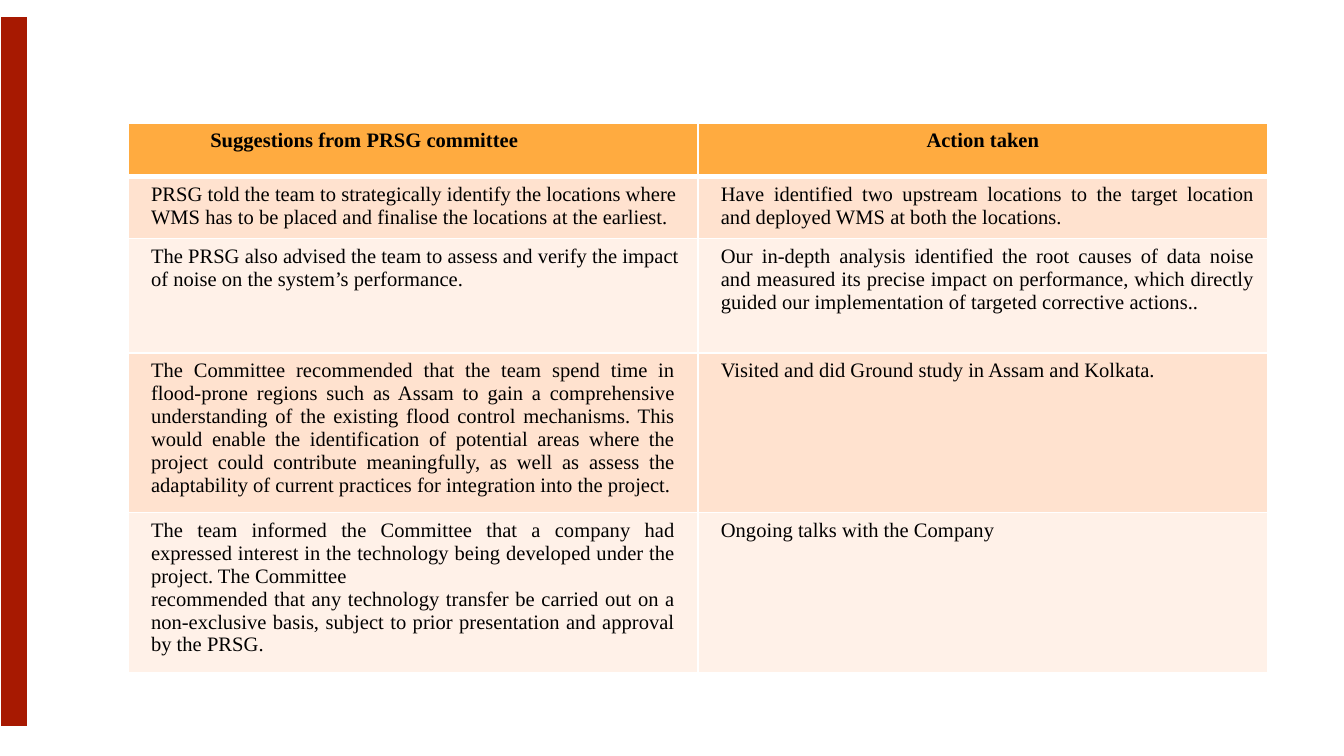
from dataclasses import dataclass

from lxml.etree import SubElement
from pptx import Presentation
from pptx.dml.color import RGBColor
from pptx.enum.shapes import MSO_SHAPE as Shape
from pptx.enum.text import PP_ALIGN as Align
from pptx.oxml.ns import qn
from pptx.util import Cm, Pt


@dataclass(frozen=True)
class Theme:
    font: str = "Times New Roman"
    size: int = 11
    text: str = "000000"
    accent: str = "A71901"
    header: str = "FFAB40"
    bands: tuple = ("FFE2CF", "FFF1E8")
    line: str = "FFFFFF"


theme = Theme()


def add_border(cell, side, width):
    line = SubElement(cell._tc.get_or_add_tcPr(), qn(f"a:ln{side}"), w=str(Pt(width)))
    fill = SubElement(line, qn("a:solidFill"))
    SubElement(fill, qn("a:srgbClr"), val=theme.line)


deck = Presentation()
deck.slide_width, deck.slide_height = Cm(25.4), Cm(14.29)
page = deck.slides.add_slide(deck.slide_layouts[6])

bar = page.shapes.add_shape(Shape.RECTANGLE, Cm(0), Cm(0.3), Cm(0.53), Cm(13.44))
bar.shadow.inherit = False
bar.fill.solid()
bar.fill.fore_color.rgb = RGBColor.from_string(theme.accent)
bar.line.color.rgb = RGBColor.from_string(theme.line)
bar.line.width = Pt(0.75)

LEFT, CENTER, JUSTIFY = Align.LEFT, Align.CENTER, Align.JUSTIFY
rows = [
    (1.02, ("Suggestions from PRSG committee", LEFT), ("Action taken", CENTER)),
    (
        1.17,
        ("PRSG told the team to strategically identify the locations where WMS has "
         "to be placed and finalise the locations at the earliest.", LEFT),
        ("Have identified two upstream locations to the target location and "
         "deployed WMS at both the locations.", JUSTIFY),
    ),
    (
        2.16,
        ("The PRSG also advised the team to assess and verify the impact of noise "
         "on the system’s performance.", LEFT),
        ("Our in-depth analysis identified the root causes of data noise and "
         "measured its precise impact on performance, which directly guided our "
         "implementation of targeted corrective actions..", JUSTIFY),
    ),
    (
        3.02,
        ("The Committee recommended that the team spend time in flood-prone regions "
         "such as Assam to gain a comprehensive understanding of the existing flood "
         "control mechanisms. This would enable the identification of potential "
         "areas where the project could contribute meaningfully, as well as assess "
         "the adaptability of current practices for integration into the project.",
         JUSTIFY),
        ("Visited and did Ground study in Assam and Kolkata.", JUSTIFY),
    ),
    (
        3.02,
        ("The team informed the Committee that a company had expressed interest in "
         "the technology being developed under the project. The Committee\n"
         "recommended that any technology transfer be carried out on a "
         "non-exclusive basis, subject to prior presentation and approval by the "
         "PRSG.", JUSTIFY),
        ("Ongoing talks with the Company", JUSTIFY),
    ),
]

height = sum(row[0] for row in rows)
table = page.shapes.add_table(
    len(rows), 2, Cm(2.42), Cm(2.32), Cm(21.54), Cm(height)
).table
for column in table.columns:
    column.width = Cm(10.77)

for row_index, (row_height, *entries) in enumerate(rows):
    table.rows[row_index].height = Cm(row_height)
    is_header = row_index == 0
    color = theme.header if is_header else theme.bands[(row_index - 1) % 2]
    for column_index, (text, alignment) in enumerate(entries):
        cell = table.cell(row_index, column_index)
        for side in "LRTB":
            under_header = (row_index, side) in ((0, "B"), (1, "T"))
            add_border(cell, side, 3 if under_header else 1)
        cell.fill.solid()
        cell.fill.fore_color.rgb = RGBColor.from_string(color)
        if column_index == 0 and alignment == JUSTIFY:
            cell.margin_right = Cm(0.43)
        cell.text = text
        if alignment == CENTER:
            indent = Cm(0)
        else:
            indent = Cm(1.3) if is_header else Cm(0.18)
        for para in cell.text_frame.paragraphs:
            para.alignment = alignment
            para._p.get_or_add_pPr().set("marL", str(indent))
            para.font.name = theme.font
            para.font.size = Pt(theme.size)
            para.font.bold = is_header
            para.font.color.rgb = RGBColor.from_string(theme.text)

deck.save("out.pptx")
